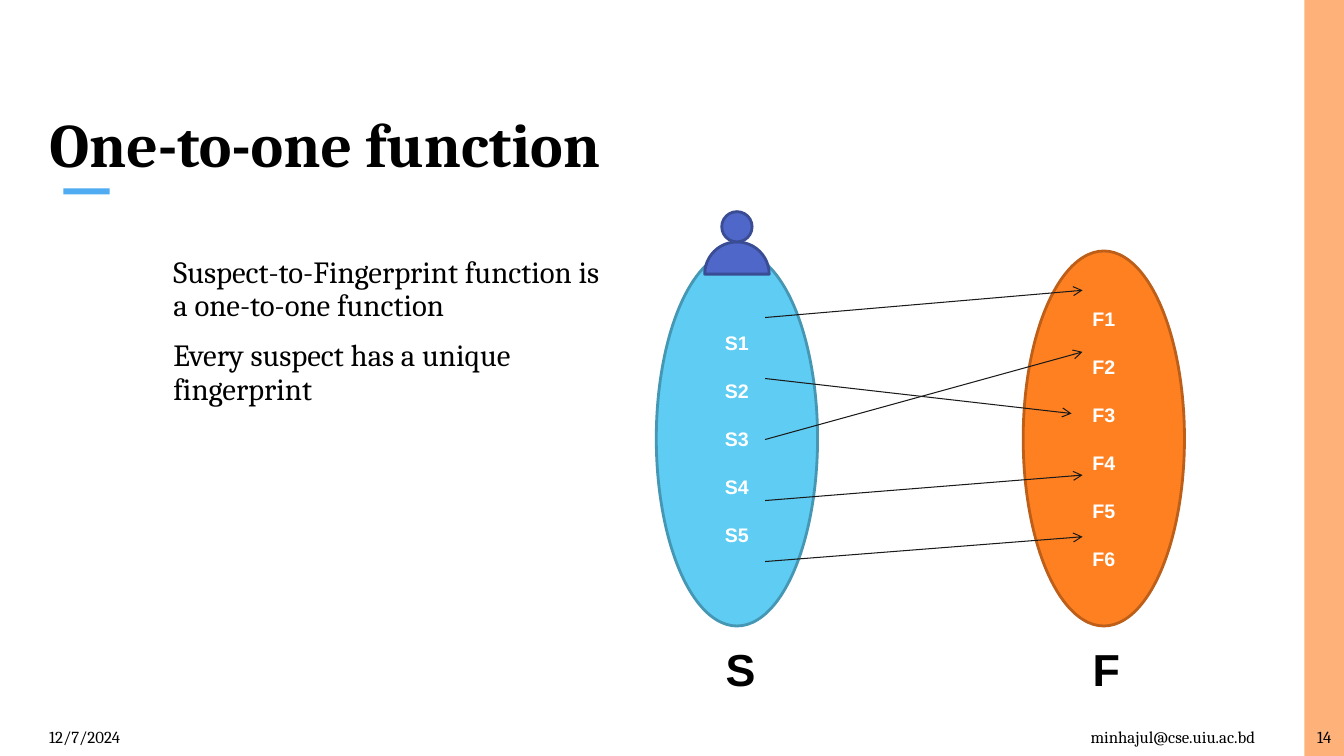
from lxml import etree
from pptx import Presentation
from pptx.dml.color import RGBColor
from pptx.enum.shapes import MSO_CONNECTOR, MSO_SHAPE
from pptx.enum.text import MSO_ANCHOR, MSO_AUTO_SIZE, PP_ALIGN
from pptx.oxml.ns import qn
from pptx.util import Inches, Pt

LEFT, CENTER, RIGHT = PP_ALIGN.LEFT, PP_ALIGN.CENTER, PP_ALIGN.RIGHT
MIDDLE, BOTTOM = MSO_ANCHOR.MIDDLE, MSO_ANCHOR.BOTTOM
RECT, OVAL, PIE = MSO_SHAPE.RECTANGLE, MSO_SHAPE.OVAL, MSO_SHAPE.PIE
STRAIGHT = MSO_CONNECTOR.STRAIGHT
NO_FIT = MSO_AUTO_SIZE.NONE

C = {"white": "FFFFFF", "black": "000000", "band": "FEB179", "accent": "4FACF3",
     "s": "5ECCF3", "s_line": "4697B4", "f": "FF8021", "f_line": "BD5F18",
     "person": "4E67C8", "person_line": "3A4C94", "arrow": "1A1A1A"}
SERIF, SANS = "Cambria", "Arial"

# The slide is a grid of 100 columns by 100 rows
W, H = Inches(13.33), Inches(7.5)


def cells(x, y, w, h):
    return int(x * W / 100), int(y * H / 100), int(w * W / 100), int(h * H / 100)


def rgb(name):
    return RGBColor.from_string(C[name])


def style(p, size, font, color="black", bold=False, align=LEFT):
    p.alignment = align
    for r in p.runs:
        r.font.size, r.font.name, r.font.bold = Pt(size), font, bold
        r.font.color.rgb = rgb(color)


def add_shape(s, kind, box, fill, line=None):
    sp = s.shapes.add_shape(kind, *cells(*box))
    sp.shadow.inherit = False
    sp.fill.solid()
    sp.fill.fore_color.rgb = rgb(fill)
    if line:
        sp.line.color.rgb = rgb(line)
        sp.line.width = Pt(2)
    else:
        sp.line.fill.background()
    return sp


def add_label(s, box, text, size, font, bold=False, align=LEFT, wrap=True, anchor=MIDDLE):
    tf = s.shapes.add_textbox(*cells(*box)).text_frame
    tf.word_wrap, tf.vertical_anchor = wrap, anchor
    tf.text = text
    style(tf.paragraphs[0], size, font, bold=bold, align=align)


def move(ph, box):
    ph.left, ph.top, ph.width, ph.height = cells(*box)
    ph.text_frame.auto_size = NO_FIT
    ph.text_frame.word_wrap = True
    return ph.text_frame


def add_backdrop(s, box):
    x, y, w, h = box
    s.background.fill.solid()
    s.background.fill.fore_color.rgb = rgb("band")
    panels = [((x + 4.72, y + 24.93, 3.45, 0.8), "accent"), (box, "white")]
    for panel, fill in panels:
        sp = add_shape(s, RECT, panel, fill)
        sp.element.getparent().insert(2, sp.element)  # behind the placeholders


def add_title(s, box, text):
    tf = move(s.shapes.title, box)
    tf.vertical_anchor = BOTTOM
    tf.text = text
    p = tf.paragraphs[0]
    p.line_spacing = 0.9
    style(p, 44, SERIF, bold=True)


def add_body(s, box, lines):
    tf = move(s.placeholders[1], box)
    tf.text = "\n".join(lines)
    for i, p in enumerate(tf.paragraphs):
        p.line_spacing = 0.9
        p.space_before = Pt(12 if i else 0)
        pPr = p._p.get_or_add_pPr()
        pPr.set("marL", str(Inches(0.5)))
        pPr.set("indent", str(-Inches(0.4)))
        etree.SubElement(pPr, qn("a:buChar")).set("char", " ")
        style(p, 22, SERIF)


def add_footer(s, box):
    x, y, w, h = box
    for dx, width, text, align in [(2.92, 22.5, "12/7/2024", LEFT),
                                   (60.38, 33.75, "minhajul@cse.uiu.ac.bd", RIGHT),
                                   (97.05, 2.95, "14", CENTER)]:
        add_label(s, (x + dx, y, width, h), text, 12, SERIF, align=align)


def add_set(s, box, name, count):
    x, y, w, h = box
    key = name.lower()
    tf = add_shape(s, OVAL, box, key, key + "_line").text_frame
    tf.vertical_anchor = MIDDLE
    tf.text = "\n".join(f"{name}{i + 1}" for i in range(count))
    for i, p in enumerate(tf.paragraphs):
        p.space_before = Pt(17.5 if i else 0)
        style(p, 14, SANS, "white", bold=True, align=CENTER)
    add_label(s, (x + 4.43, y + h + 1.47, 3.15, 8.53), name, 32, SANS, bold=True,
              align=CENTER, wrap=False, anchor=MSO_ANCHOR.TOP)


def add_arrow(s, x1, y1, x2, y2):
    start, end = cells(x1, y1, 0, 0)[:2], cells(x2, y2, 0, 0)[:2]
    cn = s.shapes.add_connector(STRAIGHT, *start, *end)
    cn.line.color.rgb = rgb("arrow")
    cn.line.width = Pt(0.75)
    etree.SubElement(cn.line._get_or_add_ln(), qn("a:tailEnd")).set("type", "arrow")
    etree.SubElement(cn._element.spPr, qn("a:effectLst"))


def add_person(s, box):
    x, y, w, h = box
    look = ("person", "person_line")
    shoulders = add_shape(s, PIE, (x, y + 4, w, h - 4), *look)
    shoulders.adjustments[0], shoulders.adjustments[1] = 54, 162  # half disc
    shoulders.rotation = 90
    add_shape(s, OVAL, (x + w / 2 - 1.13, y, 2.26, 4), *look)


def add_mapping(s, box):
    x, y, w, h = box
    oval_w, oval_y, oval_h = 12, y + 5.2, 49.6
    add_set(s, (x, oval_y, oval_w, oval_h), "S", 5)
    add_set(s, (x + w - oval_w, oval_y, oval_w, oval_h), "F", 6)
    # Suspect row to fingerprint row
    for row, target in enumerate([0, 2, 1, 3, 4]):
        tip = 30.9 if target == 2 else 31.72
        add_arrow(s, x + 8.1, y + 14 + 8.07 * row, x + tip, y + 10.4 + 8.15 * target)
    add_person(s, (x + 3.6, y, 4.8, 12.53))


def main():
    prs = Presentation()
    prs.slide_width, prs.slide_height = W, H
    s = prs.slides.add_slide(prs.slide_layouts[1])
    add_backdrop(s, (0, 0, 97.05, 100))
    add_title(s, (2.92, 5.2, 91.13, 19.33), "One-to-one function")
    add_body(s, (8.4, 33.33, 37.73, 58.67),
             ["Suspect-to-Fingerprint function is a one-to-one function",
              "Every suspect has a unique fingerprint"])
    add_footer(s, (0, 94.8, 100, 5.2))
    add_mapping(s, (48.83, 28, 39.3, 64.8))
    prs.save("out.pptx")


if __name__ == "__main__":
    main()
